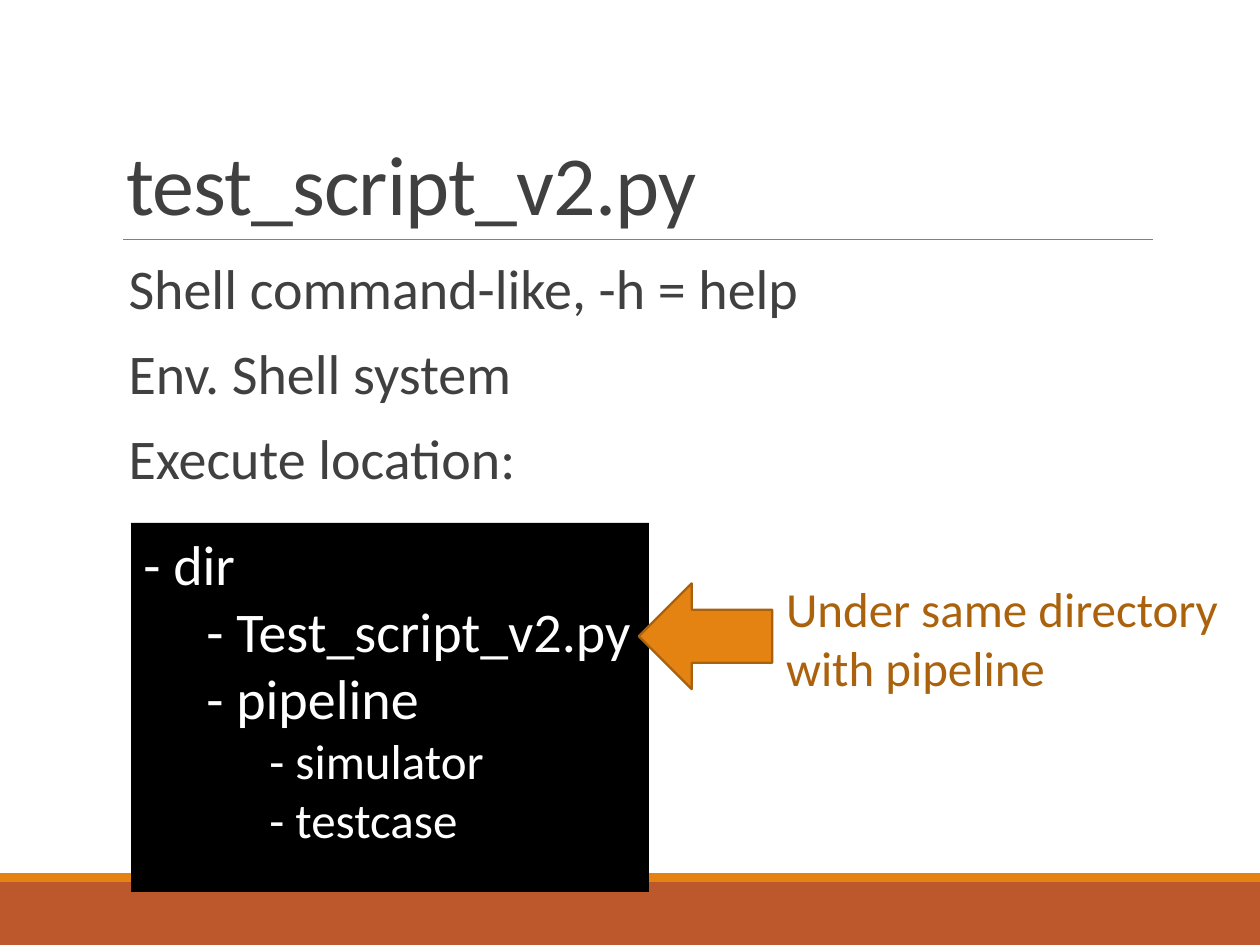
from pptx import Presentation
from pptx.dml.color import RGBColor
from pptx.enum.shapes import MSO_CONNECTOR, MSO_SHAPE
from pptx.enum.text import MSO_ANCHOR, MSO_AUTO_SIZE, PP_ALIGN
from pptx.oxml.ns import qn
from pptx.util import Inches, Pt
from lxml.etree import SubElement

FONT = "Calibri"
ORANGE, RUST, GREY = "E48312", "BD582C", "404040"


def color(value):
    return RGBColor.from_string(value)


def place(shape, left, top, width, height):
    shape.left, shape.top = Inches(left), Inches(top)
    shape.width, shape.height = Inches(width), Inches(height)


def add_block(page, kind, area, fill, outline=None):
    block = page.shapes.add_shape(kind, *map(Inches, area))
    block.shadow.inherit = False
    block.fill.solid()
    block.fill.fore_color.rgb = color(fill)
    if outline:
        block.line.color.rgb = color(outline)
        block.line.width = Pt(1.25)
    else:
        block.line.fill.background()
    return block


def add_rule(page, left, right, top):
    rule = page.shapes.add_connector(
        MSO_CONNECTOR.STRAIGHT, *map(Inches, (left, top, right, top)))
    rule.line.color.rgb = color("808080")
    rule.line.width = Pt(0.5)
    SubElement(rule._element.spPr, qn("a:effectLst"))


def write_lines(frame, lines, tint, wrap=False, anchor=MSO_ANCHOR.TOP):
    """Write one paragraph for each (text, size, left indent) in lines."""
    frame.word_wrap = wrap
    frame.auto_size = MSO_AUTO_SIZE.NONE
    frame.vertical_anchor = anchor
    for index, (text, size, indent) in enumerate(lines):
        para = frame.add_paragraph() if index else frame.paragraphs[0]
        para.alignment = PP_ALIGN.LEFT
        properties = para._p.get_or_add_pPr()
        properties.set("marL", str(Inches(indent)))
        properties.set("indent", "0")
        SubElement(properties, qn("a:buNone"))
        span = para.add_run()
        span.text = text
        span.font.name = FONT
        span.font.size = Pt(size)
        span.font.color.rgb = color(tint)


def fill_title(title, text):
    place(title, 0.9, 0.31, 8.25, 1.59)
    write_lines(title.text_frame, [(text, 48, 0)], GREY, True, MSO_ANCHOR.BOTTOM)
    para = title.text_frame.paragraphs[0]
    para.line_spacing = 0.85
    para.runs[0].font._element.set("spc", "-50")


def fill_body(body, items):
    place(body, 0.9, 2.02, 8.25, 4.4)
    frame = body.text_frame
    write_lines(frame, [(item, 32, 0.12) for item in items], GREY, True)
    frame.margin_left = frame.margin_right = 0
    for para in frame.paragraphs:
        para.line_spacing = 0.9
        para.space_before, para.space_after = Pt(12), Pt(2)


def main():
    deck = Presentation()
    deck.slide_width, deck.slide_height = Inches(10), Inches(7.5)
    page = deck.slides.add_slide(deck.slide_layouts[1])

    # Footer bands and title rule
    add_block(page, MSO_SHAPE.RECTANGLE, (0, 7, 10, 0.5), RUST)
    add_block(page, MSO_SHAPE.RECTANGLE, (0, 6.93, 10, 0.07), ORANGE)
    add_rule(page, 0.98, 9.15, 1.9)

    # Title and list
    fill_title(page.shapes.title, "test_script_v2.py")
    fill_body(page.placeholders[1], [
        "Shell command-like, -h = help",
        "Env. Shell system",
        "Execute location:",
    ])

    # Directory tree
    tree = add_block(page, MSO_SHAPE.RECTANGLE, (1.04, 4.15, 4.11, 2.93), "000000")
    write_lines(tree.text_frame, [
        ("- dir", 32, 0),
        ("- Test_script_v2.py", 32, 0.5),
        ("- pipeline", 32, 0.5),
        ("- simulator", 28, 1),
        ("- testcase", 28, 1),
    ], "FFFFFF", wrap=True)

    # Arrow and its remark
    add_block(page, MSO_SHAPE.LEFT_ARROW, (5.07, 4.63, 1.06, 0.84), ORANGE, "A9610D")
    remark = page.shapes.add_textbox(*map(Inches, (6.14, 4.54, 3.67, 1.04)))
    write_lines(remark.text_frame, [
        ("Under same directory", 28, 0),
        ("with pipeline", 28, 0),
    ], "AB620D")

    deck.save("out.pptx")


if __name__ == "__main__":
    main()
